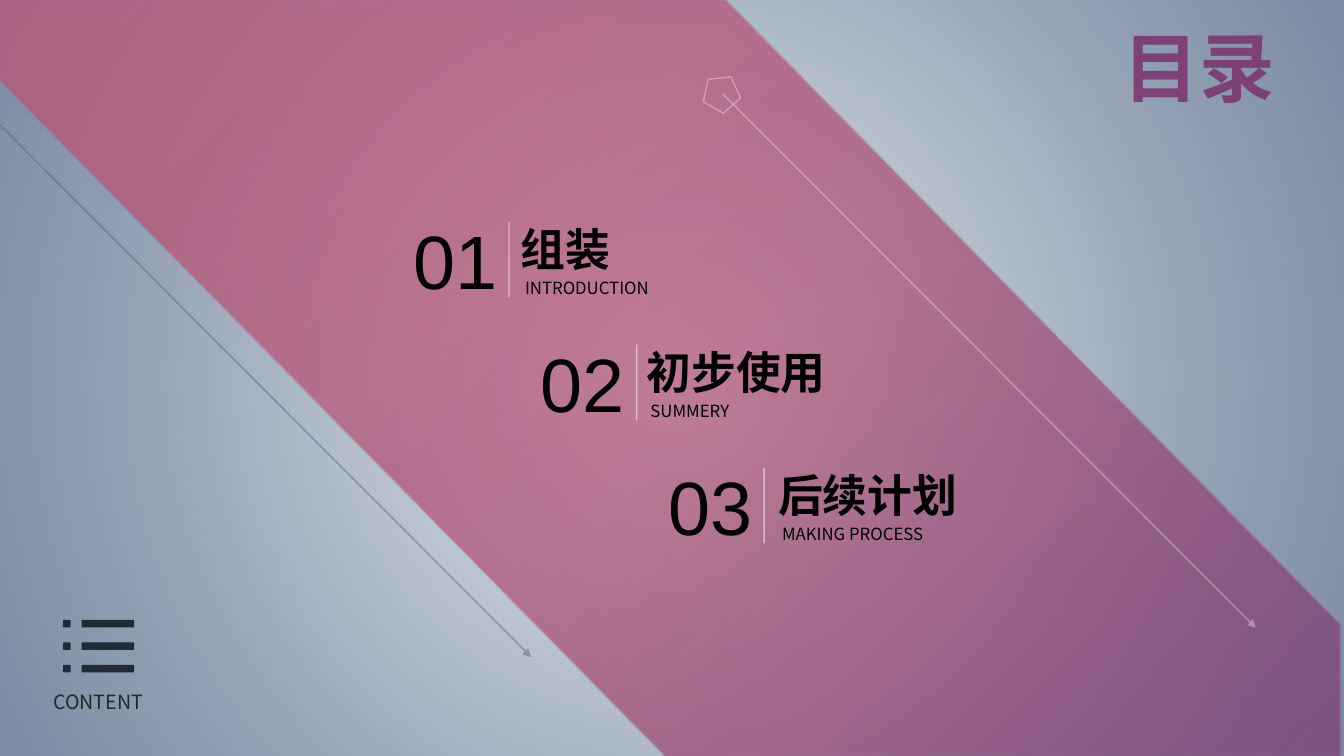
from lxml import etree
from pptx import Presentation
from pptx import util as u
from pptx.dml.color import RGBColor
from pptx.enum import shapes, text
from pptx.oxml.ns import qn

PURPLE = RGBColor(0x7D, 0x41, 0x78)
WHITE = RGBColor(0xFF, 0xFF, 0xFF)
BLACK = RGBColor(0, 0, 0)
CHARCOAL = RGBColor(0x26, 0x26, 0x26)
SLATE = RGBColor(0x53, 0x62, 0x75)
NAVY = RGBColor(0x22, 0x2A, 0x35)
SANS = "Noto Sans CJK SC"
LEFT, CENTER = text.PP_ALIGN.LEFT, text.PP_ALIGN.CENTER

deck = Presentation()
deck.slide_width, deck.slide_height = u.Inches(13.333), u.Inches(7.5)
CELL = deck.slide_height // 75


def label(box, wording, size, font, color, align=LEFT, bold=False, middle=True, wrap=True):
    frame = box.text_frame
    frame.word_wrap = wrap
    frame.auto_size = text.MSO_AUTO_SIZE.NONE
    frame.vertical_anchor = text.MSO_ANCHOR.MIDDLE if middle else text.MSO_ANCHOR.TOP
    paragraph = frame.paragraphs[0]
    paragraph.alignment = align
    run = paragraph.add_run()
    run.text = wording
    run.font.size, run.font.name, run.font.bold = u.Pt(size), font, bold
    run.font.color.rgb = color


def outline(drawn, color, opacity, arrow=False):
    drawn.line.width = u.Pt(1)
    drawn.line.fill.solid()
    drawn.line.fill.fore_color.rgb = color
    properties = drawn.element.spPr
    tint = properties.find(".//" + qn("a:srgbClr"))
    etree.SubElement(tint, qn("a:alpha"), val=str(opacity * 1000))
    if arrow:
        etree.SubElement(properties.find(qn("a:ln")), qn("a:tailEnd"), type="triangle")
    etree.SubElement(properties, qn("a:effectLst"))


slide = deck.slides.add_slide(deck.slide_layouts[5])
heading = slide.shapes.title
heading.left, heading.top, heading.width, heading.height = [
    round(n * CELL) for n in (106.3, 1.5, 25.4, 10.1)]
label(heading, "目录", 54, "Arial", PURPLE, CENTER, bold=True)

outliner = slide.shapes.build_freeform(0, 0, scale=CELL)
outliner.add_line_segments([(72.1, 0), (133.33, 62.5), (133.33, 75), (65.5, 75), (0, 8.2)])
band = outliner.convert_to_shape()
band.shadow.inherit = False
band.line.fill.background()
heading.element.addprevious(band.element)

backdrop = slide.background
backdrop.fill.solid()
band.fill.solid()
gradients = [
    (slide.element.find(".//" + qn("p:bgPr")), (50, 50, 50, 50),
     [(0, "E4E9EF", 100), (78, "8C9BAE", 100), (100, "7B8BA4", 100)]),
    (band.element.spPr, (100, 100, 0, 0),
     [(0, "7D4178", 77), (45, "AB4A70", 68), (100, "C54F71", 68)]),
]
for holder, focus, stops in gradients:
    gradient = etree.Element(qn("a:gradFill"), rotWithShape="1")
    stop_list = etree.SubElement(gradient, qn("a:gsLst"))
    for position, color, opacity in stops:
        stop = etree.SubElement(stop_list, qn("a:gs"), pos=str(position * 1000))
        tint = etree.SubElement(stop, qn("a:srgbClr"), val=color)
        if opacity < 100:
            etree.SubElement(tint, qn("a:alpha"), val=str(opacity * 1000))
    circle = etree.SubElement(gradient, qn("a:path"), path="circle")
    etree.SubElement(circle, qn("a:fillToRect"),
                     {side: str(share * 1000) for side, share in zip("ltrb", focus)})
    holder.replace(holder.find(qn("a:solidFill")), gradient)

content = slide.shapes.add_textbox(*[round(n * CELL) for n in (3.3, 68, 12.9, 3.4)])
label(content, "CONTENT", 14, SANS, CHARCOAL, CENTER, middle=False)

for start_x, start_y, color, opacity in [(71.7, 9.3, WHITE, 32), (-0.2, 12.2, SLATE, 50)]:
    ends = (start_x, start_y, start_x + 52.9, start_y + 53)
    diagonal = slide.shapes.add_connector(
        shapes.MSO_CONNECTOR.STRAIGHT, *[round(n * CELL) for n in ends])
    outline(diagonal, color, opacity, arrow=True)

pentagon = slide.shapes.add_shape(
    shapes.MSO_SHAPE.REGULAR_PENTAGON, *[round(n * CELL) for n in (69.8, 7.4, 3.7, 3.5)])
pentagon.rotation = 30
pentagon.fill.background()
outline(pentagon, WHITE, 32)

chapters = [
    ("组装", "INTRODUCTION", 15.2, 0.2),
    ("初步使用", "SUMMERY", 10.6, 0),
    ("后续计划", "MAKING PROCESS", 17.1, 0.4),
]
for row, (chapter, subtitle, subtitle_width, indent) in enumerate(chapters):
    x, y = 50.5 + 12.65 * row, 22 + 12.2 * row
    entry = slide.shapes.add_group_shape().shapes
    parts = [
        ((x + indent, y - 0.5, 21, 6.4), (chapter, 32, "Arial", BLACK, LEFT, True)),
        ((x + indent + 0.4, y + 5.05, subtitle_width, 3),
         (subtitle, 12, SANS, BLACK, LEFT, False, False, False)),
        ((x - 12.85, y - 1.3, 15, 10.1), (f"{row + 1:02}", 54, "Arial", BLACK, CENTER)),
    ]
    for place, wording in parts:
        label(entry.add_textbox(*[round(n * CELL) for n in place]), *wording)
    divider = entry.add_connector(
        shapes.MSO_CONNECTOR.STRAIGHT, *[round(n * CELL) for n in (x, y, x, y + 7.5)])
    outline(divider, WHITE, 49)

list_icon = slide.shapes.add_group_shape().shapes
for row in range(3):
    for x, width in [(6.25, 0.75), (8.1, 5.2)]:
        mark = list_icon.add_shape(
            shapes.MSO_SHAPE.ROUNDED_RECTANGLE,
            *[round(n * CELL) for n in (x, 61.5 + 2.23 * row, width, 0.75)])
        mark.adjustments[0] = 0.12
        mark.shadow.inherit = False
        mark.fill.solid()
        mark.fill.fore_color.rgb = NAVY
        mark.line.fill.background()

deck.save("out.pptx")
